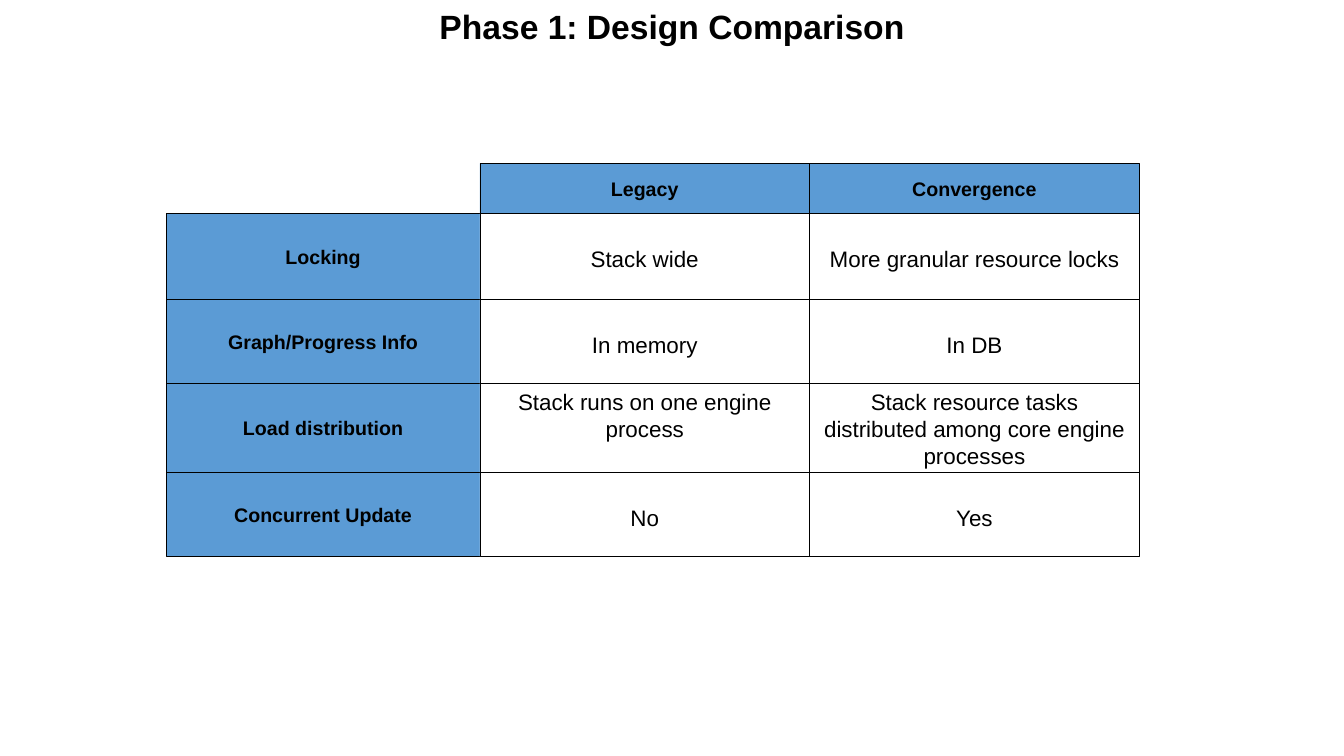
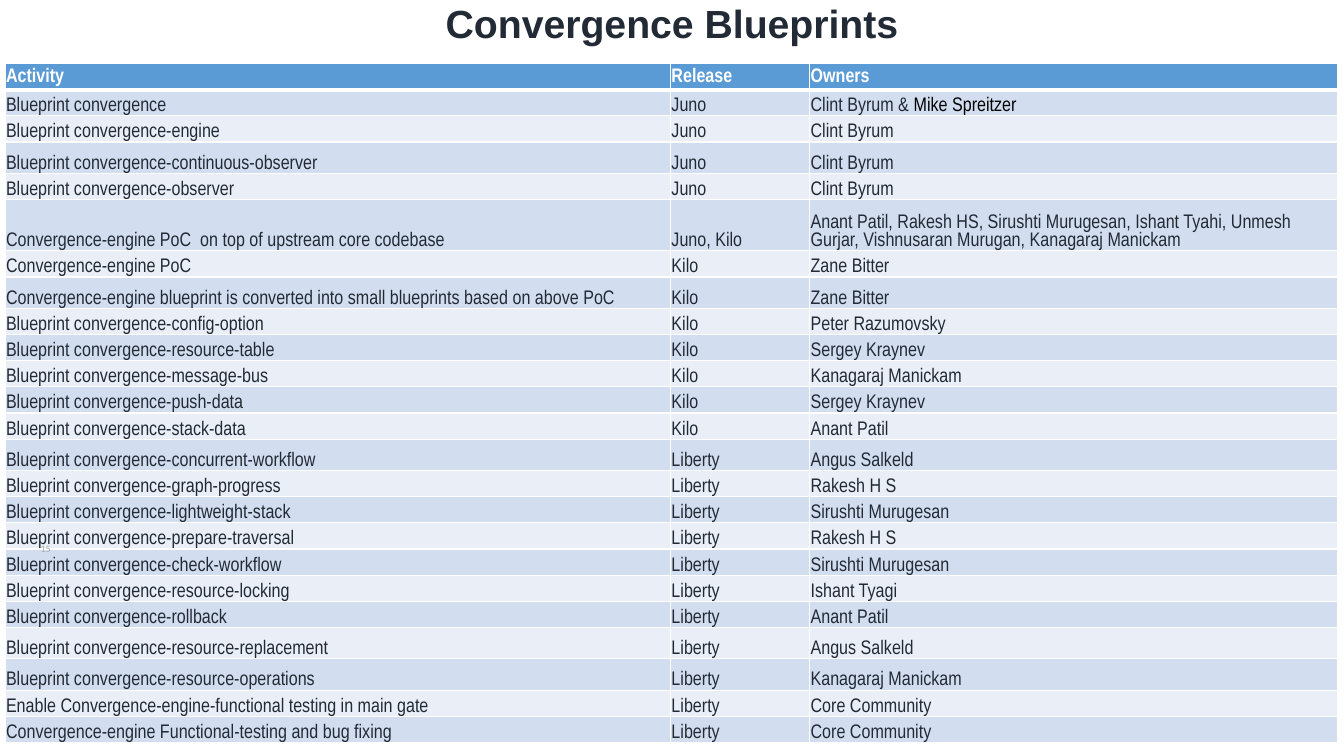
import pptx
import pptx.util
import pptx.dml.color
import pptx.enum.shapes
import pptx.enum.text
import pptx.oxml
import pptx.oxml.ns

Inches, Pt = pptx.util.Inches, pptx.util.Pt
Color = pptx.dml.color.RGBColor
Align = pptx.enum.text.PP_ALIGN
Anchor = pptx.enum.text.MSO_ANCHOR

BLUE = Color(0x5B, 0x9B, 0xD5)
PALE = Color(0xD2, 0xDE, 0xEF)
LIGHT = Color(0xEA, 0xEF, 0xF7)
NAVY = Color(0x22, 0x2A, 0x35)
GRAY = Color(0xAF, 0xAB, 0xAB)
BLACK = Color(0, 0, 0)
WHITE = Color(255, 255, 255)

# Design comparison: first row and first column are headings
DESIGN = [
    ("", "Legacy", "Convergence"),
    ("Locking", "Stack wide", "More granular resource locks"),
    ("Graph/Progress Info", "In memory", "In DB"),
    ("Load distribution", "Stack runs on one engine process",
     "Stack resource tasks distributed among core engine processes"),
    ("Concurrent Update", "No", "Yes"),
]
GRID_LEFT, GRID_TOP = 1.65, 1.62
GRID_COLS = [3.11, 3.27, 3.27]
GRID_ROWS = [0.5, 0.85, 0.83, 0.89, 0.83]
DENSE_ROW = 3

# Blueprints by release; an owner is a list of runs where colours differ
HEADS = ("Activity", "Release", "Owners")
TASKS = [
    ("Blueprint convergence", "Juno", ["Clint Byrum & ", "Mike Spreitzer"]),
    ("Blueprint convergence-engine", "Juno", "Clint Byrum"),
    ("Blueprint convergence-continuous-observer", "Juno", "Clint Byrum"),
    ("Blueprint convergence-observer", "Juno", "Clint Byrum"),
    ("Convergence-engine PoC  on top of upstream core codebase", "Juno, Kilo",
     "Anant Patil, Rakesh HS, Sirushti Murugesan, Ishant Tyahi, Unmesh Gurjar, "
     "Vishnusaran Murugan, Kanagaraj Manickam"),
    ("Convergence-engine PoC ", "Kilo", "Zane Bitter"),
    ("Convergence-engine blueprint is converted into small blueprints based on above PoC",
     "Kilo", "Zane Bitter"),
    ("Blueprint convergence-config-option", "Kilo", "Peter Razumovsky"),
    ("Blueprint convergence-resource-table", "Kilo", "Sergey Kraynev"),
    ("Blueprint convergence-message-bus", "Kilo", "Kanagaraj Manickam"),
    ("Blueprint convergence-push-data", "Kilo", "Sergey Kraynev"),
    ("Blueprint convergence-stack-data", "Kilo", "Anant Patil"),
    ("Blueprint convergence-concurrent-workflow", "Liberty", "Angus Salkeld"),
    ("Blueprint convergence-graph-progress", "Liberty", "Rakesh H S"),
    ("Blueprint convergence-lightweight-stack", "Liberty", "Sirushti Murugesan"),
    ("Blueprint convergence-prepare-traversal", "Liberty", "Rakesh H S"),
    ("Blueprint convergence-check-workflow", "Liberty", "Sirushti Murugesan"),
    ("Blueprint convergence-resource-locking", "Liberty", "Ishant Tyagi"),
    ("Blueprint convergence-rollback", "Liberty", "Anant Patil"),
    ("Blueprint convergence-resource-replacement", "Liberty", "Angus Salkeld"),
    ("Blueprint convergence-resource-operations", "Liberty", "Kanagaraj Manickam"),
    ("Enable Convergence-engine-functional testing in main gate", "Liberty", "Core Community"),
    ("Convergence-engine Functional-testing and bug fixing", "Liberty", "Core Community"),
]
TASK_COLS = [6.6, 1.38, 5.24]
ROW_HIGH = 0.26
TALL_ROWS = {3: 0.31, 5: 0.51, 7: 0.31, 13: 0.31, 20: 0.31, 21: 0.31}


def style(para, size, color, bold=False, name="Arial", align=Align.CENTER):
    """Set the font and alignment of a paragraph."""
    font = para.font
    font.size, font.bold, font.name = Pt(size), bold, name
    font.color.rgb = color
    para.alignment = align


def add_text(slide, text, box, size, color, **look):
    """Add a one-paragraph text box and return its frame."""
    frame = slide.shapes.add_textbox(*map(Inches, box)).text_frame
    frame.word_wrap = True
    frame.text = text
    style(frame.paragraphs[0], size, color, **look)
    return frame


def add_title(slide, text, size, color, top=0, high=0.5):
    """Add a bold title across the top of the slide."""
    frame = add_text(slide, text, (0, top, 13.33, high), size, color, bold=True)
    return frame.paragraphs[0]


def add_box(slide, text, box, head, dense):
    """Add one bordered box of the comparison grid."""
    rect = pptx.enum.shapes.MSO_SHAPE.RECTANGLE
    shape = slide.shapes.add_shape(rect, *map(Inches, box))
    shape.shadow.inherit = False
    shape.fill.solid()
    shape.fill.fore_color.rgb = BLUE if head else WHITE
    shape.line.color.rgb = BLACK
    shape.line.width = Pt(0.5)
    frame = shape.text_frame
    frame.word_wrap = True
    frame.text = text
    frame.vertical_anchor = Anchor.MIDDLE if head else Anchor.TOP
    para = frame.paragraphs[0]
    style(para, 14 if head else 16, BLACK, bold=head)
    if not head:
        para.space_before = Pt(3.2)
        para.line_spacing = 1.0 if dense else 2.0


def add_edges(cell, top, bottom):
    """Give a table cell white borders, with widths in points."""
    props = cell._tc.get_or_add_tcPr()
    for side, width in (("L", 1), ("R", 1), ("T", top), ("B", bottom)):
        props.append(pptx.oxml.parse_xml(
            f'<a:ln{side} {pptx.oxml.ns.nsdecls("a")} w="{Pt(width)}">'
            f'<a:solidFill><a:srgbClr val="{WHITE}"/></a:solidFill></a:ln{side}>'))


def fill_cell(cell, value, row):
    """Write and format one cell of the blueprint table."""
    head = row == 0
    add_edges(cell, 3 if row == 1 else 1, 3 if head else 1)
    cell.fill.solid()
    cell.fill.fore_color.rgb = BLUE if head else (PALE if row % 2 else LIGHT)
    cell.margin_left = cell.margin_right = cell.margin_top = Inches(0.01)
    cell.margin_bottom = 0
    cell.vertical_anchor = Anchor.MIDDLE if head else Anchor.BOTTOM
    para = cell.text_frame.paragraphs[0]
    parts = [value] if isinstance(value, str) else value
    for part in parts:
        para.add_run().text = part
    style(para, 14, WHITE if head else NAVY, head, "Arial Narrow", Align.LEFT)
    for run in para.runs[1:]:
        run.font.color.rgb = BLACK


def build_design(slide):
    """Build the design comparison slide."""
    for row, line in enumerate(DESIGN):
        top = GRID_TOP + sum(GRID_ROWS[:row])
        for col, text in enumerate(line):
            if text:
                left = GRID_LEFT + sum(GRID_COLS[:col])
                box = (left, top, GRID_COLS[col], GRID_ROWS[row])
                add_box(slide, text, box, row == 0 or col == 0, row == DENSE_ROW)
    add_title(slide, "Phase 1: Design Comparison", 24, BLACK, top=0.01)


def build_tasks(slide):
    """Build the blueprint table slide."""
    title = add_title(slide, "Convergence Blueprints", 28, NAVY, high=0.73)
    title.line_spacing = 0.9
    lines = [HEADS] + TASKS
    highs = [TALL_ROWS.get(row, ROW_HIGH) for row in range(len(lines))]
    box = (0.05, 0.63, sum(TASK_COLS), sum(highs))
    table = slide.shapes.add_table(len(lines), len(HEADS), *map(Inches, box)).table
    for col, wide in enumerate(TASK_COLS):
        table.columns[col].width = Inches(wide)
    for row, line in enumerate(lines):
        table.rows[row].height = Inches(highs[row])
        for col, value in enumerate(line):
            fill_cell(table.cell(row, col), value, row)
    number = add_text(slide, "15", (0.14, 5.35, 0.46, 0.18), 7, GRAY,
                      name="Calibri", align=Align.RIGHT)
    number.vertical_anchor = Anchor.MIDDLE


deck = pptx.Presentation()
deck.slide_width, deck.slide_height = Inches(13.33), Inches(7.5)
for build in (build_design, build_tasks):
    build(deck.slides.add_slide(deck.slide_layouts[6]))
deck.save("out.pptx")
